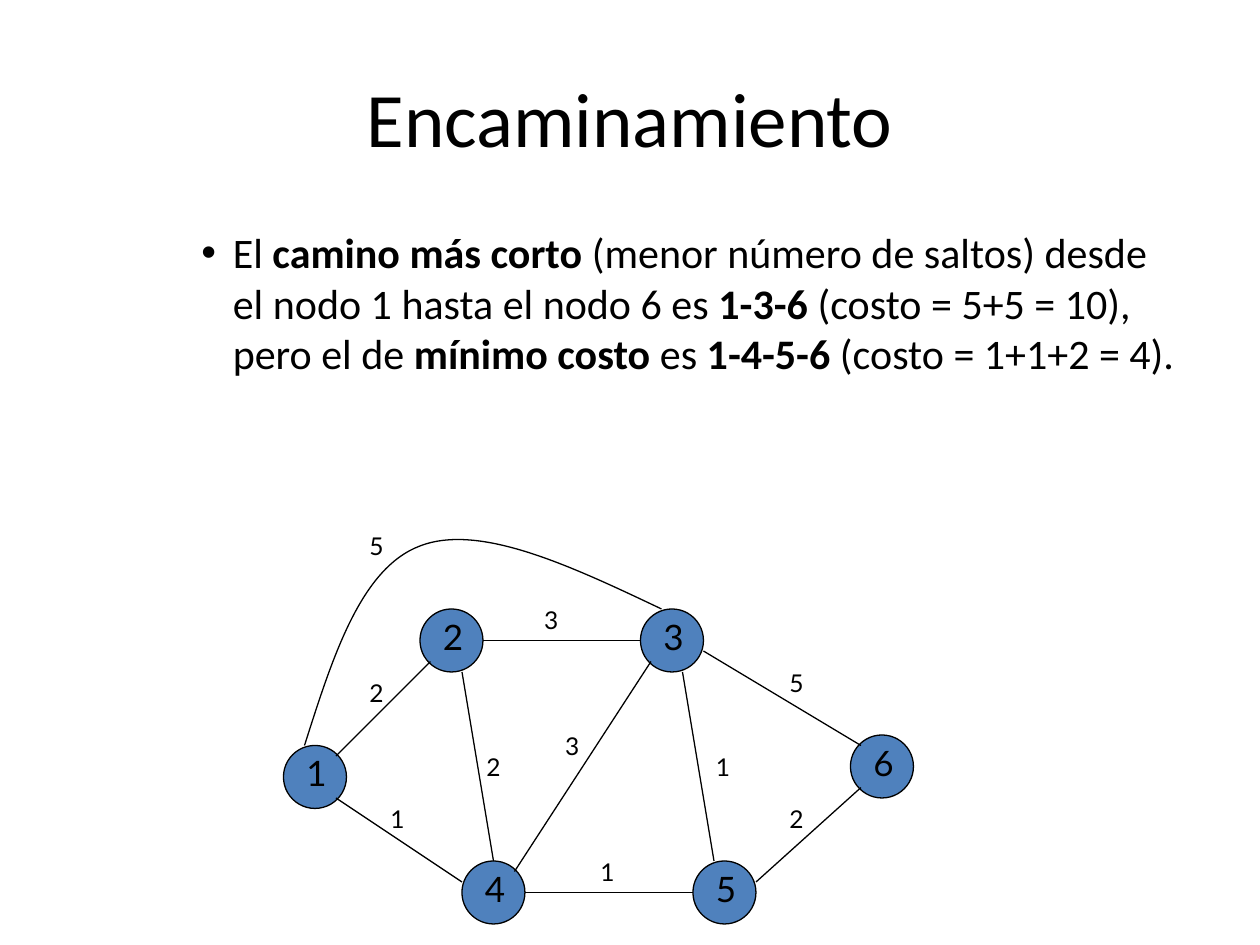
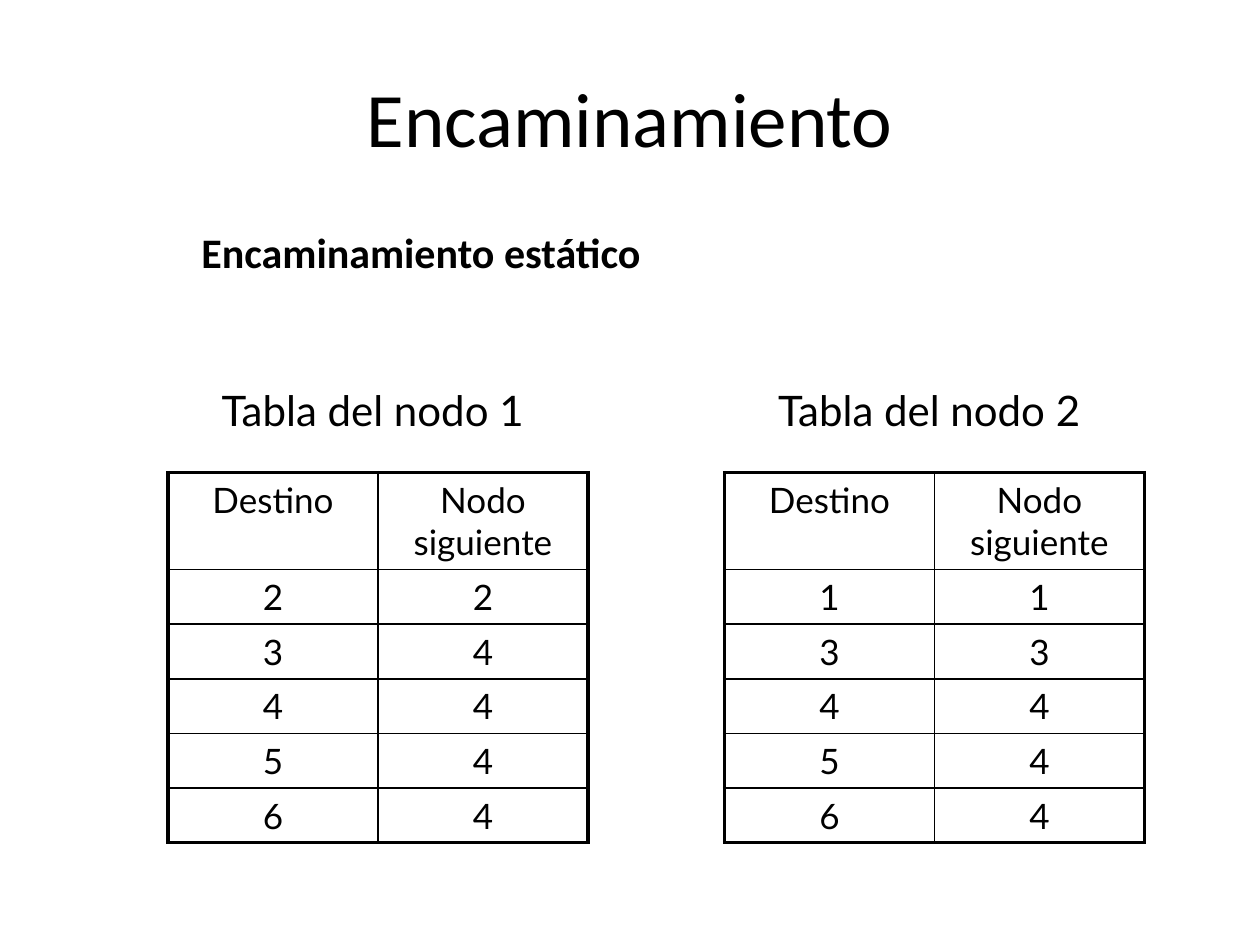
from lxml import etree
from pptx import Presentation
from pptx.dml.color import RGBColor
from pptx.enum.shapes import MSO_CONNECTOR, MSO_SHAPE
from pptx.enum.text import MSO_ANCHOR, PP_ALIGN
from pptx.oxml.ns import qn
from pptx.util import Pt

STRAIGHT, OVAL = MSO_CONNECTOR.STRAIGHT, MSO_SHAPE.OVAL
LEFT, CENTER = PP_ALIGN.LEFT, PP_ALIGN.CENTER
TOP, MIDDLE = MSO_ANCHOR.TOP, MSO_ANCHOR.MIDDLE

COLORS = {"ink": "000000", "node": "4F81BD", "background": "FFFFFF"}
HEADING_FONT, FIGURE_FONT = "Calibri", "Lato"
TITLE = "Encaminamiento"

ROUTE_TEXT = [
    ("El ", False), ("camino más corto", True),
    (" (menor número de saltos) desde el nodo 1 hasta el nodo 6 es ", False),
    ("1-3-6", True), (" (costo = 5+5 = 10), pero el de ", False),
    ("mínimo costo", True), (" es ", False), ("1-4-5-6", True),
    (" (costo = 1+1+2 = 4).", False),
]
STATIC_TEXT = [("Encaminamiento estático", True)]

NODE_SIZE = 36
NODES = {1: (162, 426), 2: (240, 348), 4: (264, 492),
         3: (366, 348), 5: (396, 492), 6: (486, 420)}
# start node, offset in it, end node, offset in it
LINKS = [
    (1, (30, 6), 2, (6, 30)),
    (1, (30, 30), 4, (0, 12)),
    (2, (24, 36), 4, (18, 0)),
    (4, (30, 6), 3, (6, 30)),
    (2, (36, 18), 3, (0, 18)),
    (4, (36, 18), 5, (0, 18)),
    (3, (24, 36), 5, (12, 0)),
    (3, (36, 24), 6, (6, 6)),
    (5, (36, 12), 6, (6, 30)),
]
CURVED_LINK = [(174, 426), (190, 375.8), (206, 324.8), (240, 312),
               (274, 298.8), (326, 323.3), (378, 348)]
COSTS = [
    ("5", 204, 300, 24, LEFT), ("2", 204, 384, 24, LEFT),
    ("1", 216, 456, 18, CENTER), ("2", 270, 426, 24, CENTER),
    ("3", 300, 342, 30, CENTER), ("3", 312, 414, 30, CENTER),
    ("1", 336, 486, 18, LEFT), ("1", 402, 426, 18, LEFT),
    ("5", 444, 378, 24, LEFT), ("2", 444, 456, 24, LEFT),
]

TABLE_HEADER = ("Destino", "Nodo siguiente")
ROUTING_TABLES = [
    ("Tabla del nodo 1", 96, [(2, 2), (3, 4), (4, 4), (5, 4), (6, 4)]),
    ("Tabla del nodo 2", 414, [(1, 1), (3, 3), (4, 4), (5, 4), (6, 4)]),
]
TABLE_TOP, COLUMN_WIDTH, HEADER_HEIGHT, ROW_HEIGHT = 270, 120, 55.4, 31.2
OUTER_BORDER, INNER_BORDER = 2.25, 1


def color(name):
    return RGBColor.from_string(COLORS[name])


def style_paragraph(paragraph, size, font, align):
    paragraph.alignment = align
    paragraph.font.size = Pt(size)
    paragraph.font.name = font
    paragraph.font.color.rgb = color("ink")


def add_text(shapes, runs, box, size, font, align=LEFT, anchor=TOP):
    shape = shapes.add_textbox(*map(Pt, box))
    frame = shape.text_frame
    frame.word_wrap = True
    frame.vertical_anchor = anchor
    paragraph = frame.paragraphs[0]
    style_paragraph(paragraph, size, font, align)
    for text, bold in runs:
        run = paragraph.add_run()
        run.text = text
        run.font.bold = bold
    return paragraph


def style_line(line):
    line.color.rgb = color("ink")
    line.width = Pt(0.75)


def add_slide(presentation, body, bulleted):
    slide = presentation.slides.add_slide(presentation.slide_layouts[6])
    slide.background.fill.solid()
    slide.background.fill.fore_color.rgb = color("background")
    add_text(slide.shapes, [(TITLE, False)], (36, 21.6, 648, 90), 44,
             HEADING_FONT, CENTER, MIDDLE)
    paragraph = add_text(slide.shapes, body, (36, 126, 648, 356.4), 24, HEADING_FONT)
    properties = paragraph._p.get_or_add_pPr()
    properties.set("marL", str(Pt(90)))
    properties.set("indent", str(Pt(-18)))
    if bulleted:
        bullet_font = etree.Element(qn("a:buFont"), typeface="Arial")
        bullet = etree.Element(qn("a:buChar"), char="•")
        properties.insert(0, bullet_font)
        bullet_font.addnext(bullet)
    return slide


def add_node(slide, number, left, top):
    group = slide.shapes.add_group_shape()
    circle = group.shapes.add_shape(OVAL, Pt(left), Pt(top), Pt(NODE_SIZE), Pt(NODE_SIZE))
    circle.shadow.inherit = False
    circle.fill.solid()
    circle.fill.fore_color.rgb = color("node")
    style_line(circle.line)
    add_text(group.shapes, [(str(number), False)], (left + 6, top, 30, 31), 20, FIGURE_FONT)


def add_link(slide, start, start_offset, end, end_offset):
    points = [Pt(corner + shift)
              for node, offset in ((start, start_offset), (end, end_offset))
              for corner, shift in zip(NODES[node], offset)]
    connector = slide.shapes.add_connector(STRAIGHT, *points)
    style_line(connector.line)
    etree.SubElement(connector._element.spPr, qn("a:effectLst"))


def add_curve(slide, points):
    start, *others = [(Pt(x), Pt(y)) for x, y in points]
    builder = slide.shapes.build_freeform(*start)
    builder.add_line_segments(others, close=False)
    curve = builder.convert_to_shape()
    segments = list(curve._element.iter(qn("a:lnTo")))
    for first in range(0, len(segments), 3):
        bezier = etree.Element(qn("a:cubicBezTo"))
        segments[first].addprevious(bezier)
        for segment in segments[first:first + 3]:
            bezier.append(segment[0])
            segment.getparent().remove(segment)
    curve.shadow.inherit = False
    curve.fill.background()
    style_line(curve.line)


def set_borders(cell, widths):
    properties = cell._tc.get_or_add_tcPr()
    for position, (side, width) in enumerate(zip("LRTB", widths)):
        border = etree.Element(qn("a:ln" + side), w=str(Pt(width)))
        fill = etree.SubElement(border, qn("a:solidFill"))
        etree.SubElement(fill, qn("a:srgbClr"), val=COLORS["ink"])
        properties.insert(position, border)


def add_routing_table(slide, caption, left, routes):
    rows = [TABLE_HEADER] + routes
    heights = [HEADER_HEIGHT] + [ROW_HEIGHT] * len(routes)
    columns = len(TABLE_HEADER)
    table = slide.shapes.add_table(
        len(rows), columns, Pt(left), Pt(TABLE_TOP),
        Pt(COLUMN_WIDTH * columns), Pt(sum(heights))).table
    table.first_row = table.horz_banding = False
    for row, height in zip(table.rows, heights):
        row.height = Pt(height)
    for row_index, values in enumerate(rows):
        for column_index, value in enumerate(values):
            cell = table.cell(row_index, column_index)
            cell.text = str(value)
            style_paragraph(cell.text_frame.paragraphs[0], 20, FIGURE_FONT, CENTER)
            cell.fill.background()
            at_edge = (column_index == 0, column_index == columns - 1,
                       row_index == 0, row_index == len(rows) - 1)
            set_borders(cell, [OUTER_BORDER if edge else INNER_BORDER for edge in at_edge])
    add_text(slide.shapes, [(caption, False)], (left - 6, 216, 246, 36), 24,
             FIGURE_FONT, CENTER)


presentation = Presentation()
presentation.slide_width, presentation.slide_height = Pt(720), Pt(540)

graph_slide = add_slide(presentation, ROUTE_TEXT, True)
for number, (left, top) in NODES.items():
    add_node(graph_slide, number, left, top)
for link in LINKS:
    add_link(graph_slide, *link)
add_curve(graph_slide, CURVED_LINK)
for cost, left, top, width, align in COSTS:
    add_text(graph_slide.shapes, [(cost, False)], (left, top, width, 24), 14,
             FIGURE_FONT, align)

table_slide = add_slide(presentation, STATIC_TEXT, False)
for caption, left, routes in ROUTING_TABLES:
    add_routing_table(table_slide, caption, left, routes)

presentation.save("out.pptx")
